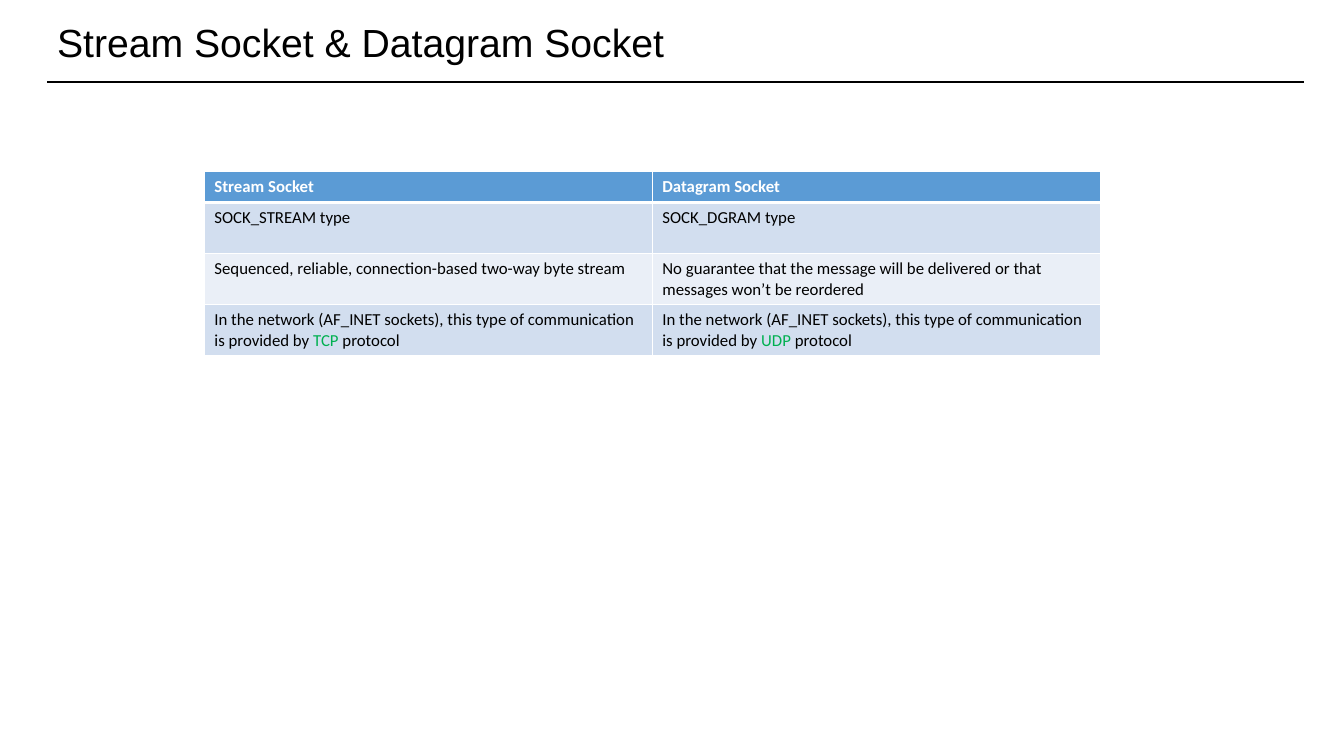
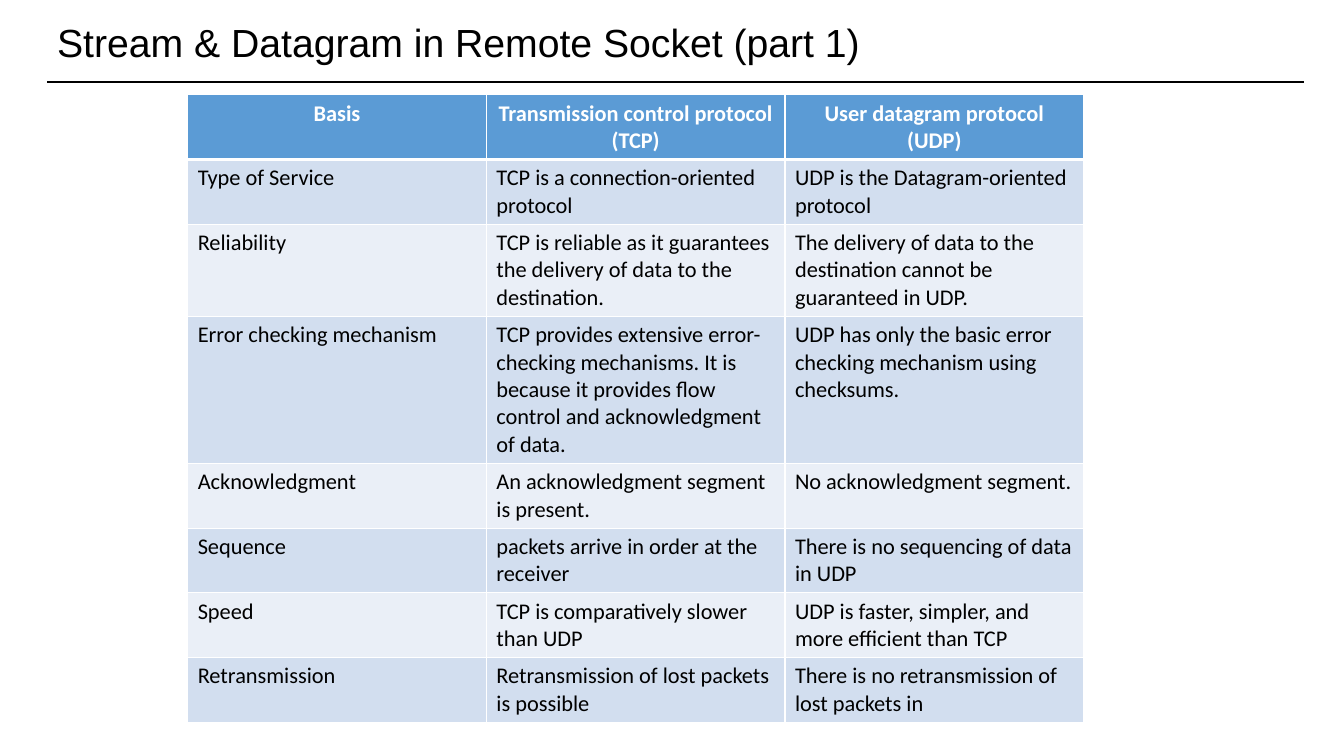
from lxml.etree import SubElement
from pptx import Presentation
from pptx.dml.color import RGBColor
from pptx.enum.shapes import MSO_CONNECTOR
from pptx.enum.text import MSO_ANCHOR, PP_ALIGN
from pptx.oxml.ns import qn
from pptx.util import Cm, Pt


def colour(code):
    return RGBColor.from_string(code)


class SocketDeck:
    """Hold the shared style and the current page of the socket deck."""

    BLACK, WHITE, GREEN = "000000", "FFFFFF", "00B050"
    HEADER, BANDS = "5B9BD5", ("D2DEEF", "EAEFF7")
    TITLE_FORMAT = {"name": "Arial", "size": Pt(28), "bold": False}
    LEFT, WIDTH, RULE_TOP = 1.19, 31.67, 2.06
    TABLE_WIDTH = 22.58

    def __init__(self):
        self.deck = Presentation()
        self.deck.slide_width, self.deck.slide_height = Cm(33.87), Cm(19.05)
        self.page = None

    def add_page(self, title):
        self.page = self.deck.slides.add_slide(self.deck.slide_layouts[6])
        self.add_rule()
        self.add_title(title)

    def add_rule(self):
        right = self.LEFT + self.WIDTH
        rule = self.page.shapes.add_connector(
            MSO_CONNECTOR.STRAIGHT,
            Cm(self.LEFT), Cm(self.RULE_TOP), Cm(right), Cm(self.RULE_TOP))
        rule.line.color.rgb = colour(self.BLACK)
        rule.line.width = Pt(1.5)
        SubElement(rule._element.spPr, qn("a:effectLst"))

    def add_title(self, title):
        box = self.page.shapes.add_textbox(
            Cm(self.LEFT), Cm(0.2), Cm(self.WIDTH), Cm(1.86))
        frame = box.text_frame
        frame.word_wrap = True
        frame.vertical_anchor = MSO_ANCHOR.MIDDLE
        para = frame.paragraphs[0]
        para.line_spacing = 0.9
        self.add_span(para, title, self.TITLE_FORMAT, self.BLACK)

    def add_span(self, para, text, formats, code):
        span = para.add_run()
        span.text = text
        for name, value in formats.items():
            setattr(span.font, name, value)
        span.font.color.rgb = colour(code)

    def add_table(self, left, top, size, rows, line_counts, header_align):
        heights = [Cm(round(0.25 + 0.0432 * size * count, 2)) for count in line_counts]
        columns = len(rows[0])
        table = self.page.shapes.add_table(
            len(rows), columns, Cm(left), Cm(top),
            Cm(self.TABLE_WIDTH), sum(heights)).table
        table.horz_banding = False
        for column in table.columns:
            column.width = Cm(self.TABLE_WIDTH / columns)
        for index, (texts, height) in enumerate(zip(rows, heights)):
            table.rows[index].height = height
            for column, text in enumerate(texts):
                self.fill_cell(table.cell(index, column), text, index, size, header_align)

    def fill_cell(self, cell, text, row, size, header_align):
        header = row == 0
        self.add_borders(cell, row)
        cell.fill.solid()
        cell.fill.fore_color.rgb = colour(self.HEADER if header else self.BANDS[(row - 1) % 2])
        formats = {"name": "Calibri", "size": Pt(size), "bold": header}
        ink = self.WHITE if header else self.BLACK
        frame = cell.text_frame
        for index, line in enumerate(text.split("\n")):
            para = frame.add_paragraph() if index else frame.paragraphs[0]
            para.alignment = header_align if header else PP_ALIGN.LEFT
            for part, piece in enumerate(line.split("|")):
                self.add_span(para, piece, formats, self.GREEN if part % 2 else ink)

    def add_borders(self, cell, row):
        widths = {"lnL": 1, "lnR": 1, "lnT": 3 if row == 1 else 1, "lnB": 3 if row == 0 else 1}
        properties = cell._tc.get_or_add_tcPr()
        for side, width in widths.items():
            border = SubElement(properties, qn(f"a:{side}"), w=str(Pt(width)))
            fill = SubElement(border, qn("a:solidFill"))
            SubElement(fill, qn("a:srgbClr"), val=self.WHITE)


SOCKET_TYPES = [
    ("Stream Socket", "Datagram Socket"),
    ("SOCK_STREAM type", "SOCK_DGRAM type"),
    ("Sequenced, reliable, connection-based two-way byte stream",
     "No guarantee that the message will be delivered or that messages won’t be reordered"),
    tuple(f"In the network (AF_INET sockets), this type of communication is provided by |{name}| protocol"
          for name in ("TCP", "UDP")),
]

PROTOCOLS = [
    ("Basis", "Transmission control protocol (TCP)", "User datagram protocol\n(UDP)"),
    ("Type of Service", "TCP is a connection-oriented protocol",
     "UDP is the Datagram-oriented protocol"),
    ("Reliability", "TCP is reliable as it guarantees the delivery of data to the destination.",
     "The delivery of data to the destination cannot be guaranteed in UDP."),
    ("Error checking mechanism",
     "TCP provides extensive error-checking mechanisms. It is because it provides "
     "flow control and acknowledgment of data.",
     "UDP has only the basic error checking mechanism using checksums."),
    ("Acknowledgment", "An acknowledgment segment is present.", "No acknowledgment segment."),
    ("Sequence", "packets arrive in order at the receiver", "There is no sequencing of data in UDP"),
    ("Speed", "TCP is comparatively slower than UDP",
     "UDP is faster, simpler, and more efficient than TCP"),
    ("Retransmission", "Retransmission of lost packets is possible",
     "There is no retransmission of lost packets in"),
]


def main():
    sockets = SocketDeck()
    sockets.add_page("Stream Socket & Datagram Socket")
    sockets.add_table(5.15, 4.33, 12, SOCKET_TYPES, (1, 2, 2, 2), PP_ALIGN.LEFT)
    sockets.add_page("Stream & Datagram in Remote Socket (part 1)")
    sockets.add_table(4.73, 2.39, 16, PROTOCOLS, (2, 2, 3, 5, 2, 2, 2, 2), PP_ALIGN.CENTER)
    sockets.deck.save("out.pptx")


if __name__ == "__main__":
    main()
